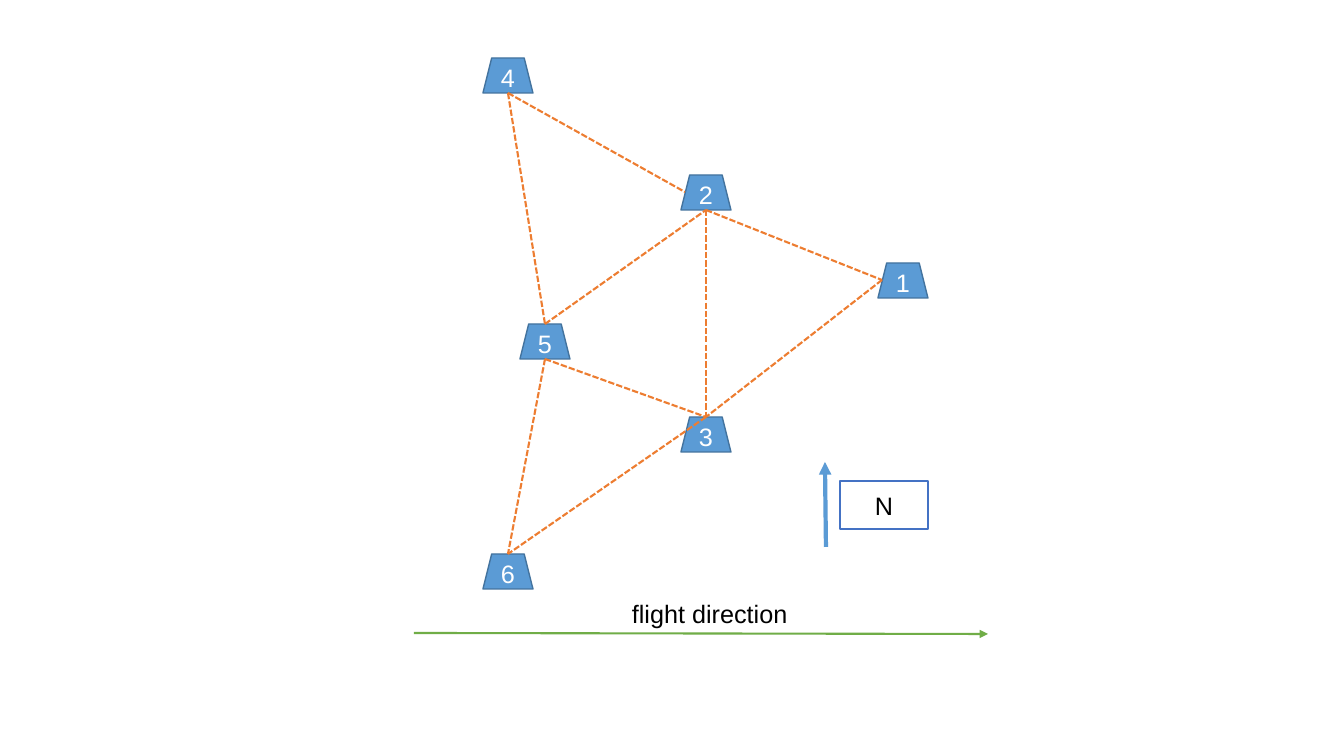
"""Build a slide showing six linked stations, a north arrow and the flight direction."""
import lxml.etree
import pptx
import pptx.dml.color
import pptx.enum.dml
import pptx.enum.shapes
import pptx.enum.text
import pptx.oxml.ns
import pptx.util

EMU_PER_PX = 914400 / 100.8
STATION_WIDTH, STATION_HEIGHT, STATION_SLOPE = 50, 35, 4
STATIONS = {
    "1": (878, 263),
    "2": (681, 175),
    "3": (681, 417),
    "4": (483, 58),
    "5": (520, 324),
    "6": (483, 554),
}
LINKS = [
    ("4", "bottom", "5", "top"),
    ("4", "bottom", "2", "left"),
    ("2", "bottom", "1", "left"),
    ("2", "bottom", "3", "top"),
    ("1", "left", "3", "top"),
    ("5", "bottom", "6", "top"),
    ("5", "bottom", "3", "top"),
    ("3", "top", "6", "top"),
    ("5", "top", "2", "bottom"),
]


def px(length):
    return pptx.util.Emu(round(length * EMU_PER_PX))


def color(value):
    return pptx.dml.color.RGBColor.from_string(value)


def write_text(shape, text, text_color, alignment):
    paragraph = shape.text_frame.paragraphs[0]
    paragraph.text = text
    paragraph.alignment = alignment
    paragraph.font.name = "Arial"
    paragraph.font.size = pptx.util.Pt(18)
    paragraph.font.color.rgb = color(text_color)


def add_box(slide, kind, box, text, fill, line, text_color):
    shape = slide.shapes.add_shape(kind, *map(px, box))
    shape.shadow.inherit = False
    shape.fill.solid()
    shape.fill.fore_color.rgb = color(fill)
    shape.line.color.rgb = color(line)
    shape.line.width = pptx.util.Pt(1)
    frame = shape.text_frame
    frame.margin_left = frame.margin_right = frame.margin_top = frame.margin_bottom = 0
    frame.vertical_anchor = pptx.enum.text.MSO_ANCHOR.MIDDLE
    write_text(shape, text, text_color, pptx.enum.text.PP_ALIGN.CENTER)


def add_line(slide, start, end, line_color, width):
    connector = slide.shapes.add_connector(
        pptx.enum.shapes.MSO_CONNECTOR.STRAIGHT, *map(px, (*start, *end)))
    connector.line.color.rgb = color(line_color)
    connector.line.width = pptx.util.Pt(width)
    lxml.etree.SubElement(connector._element.spPr, pptx.oxml.ns.qn("a:effectLst"))
    return connector


def add_arrow(slide, start, end, line_color, width):
    connector = add_line(slide, start, end, line_color, width)
    outline = connector._element.spPr.find(pptx.oxml.ns.qn("a:ln"))
    lxml.etree.SubElement(outline, pptx.oxml.ns.qn("a:tailEnd"), type="triangle")


def station_point(name, side):
    left, top = STATIONS[name]
    offsets = {
        "top": (STATION_WIDTH // 2, 0),
        "bottom": (STATION_WIDTH // 2, STATION_HEIGHT),
        "left": (STATION_SLOPE, STATION_HEIGHT // 2),
    }
    across, down = offsets[side]
    return left + across, top + down


def add_link(slide, first, first_side, second, second_side):
    link = add_line(slide, station_point(first, first_side),
                    station_point(second, second_side), "ED7D31", 1.5)
    link.line.dash_style = pptx.enum.dml.MSO_LINE.SQUARE_DOT


def add_label(slide, box, text):
    label = slide.shapes.add_textbox(*map(px, box))
    label.text_frame.word_wrap = True
    write_text(label, text, "000000", pptx.enum.text.PP_ALIGN.LEFT)


def main():
    presentation = pptx.Presentation()
    presentation.slide_width = px(1344)
    presentation.slide_height = px(756)
    slide = presentation.slides.add_slide(presentation.slide_layouts[6])
    shapes = pptx.enum.shapes.MSO_SHAPE
    add_arrow(slide, (826, 547), (825, 462), "5B9BD5", 3)
    add_box(slide, shapes.RECTANGLE, (840, 481, 88, 48), "N", "FFFFFF", "4472C4", "000000")
    for name, corner in STATIONS.items():
        add_box(slide, shapes.TRAPEZOID, (*corner, STATION_WIDTH, STATION_HEIGHT),
                name, "5B9BD5", "43739E", "FFFFFF")
    for link in LINKS:
        add_link(slide, *link)
    add_arrow(slide, (414, 633), (988, 634), "70AD47", 1.5)
    add_label(slide, (622, 593, 231, 40), "flight direction")
    presentation.save("out.pptx")


if __name__ == "__main__":
    main()
